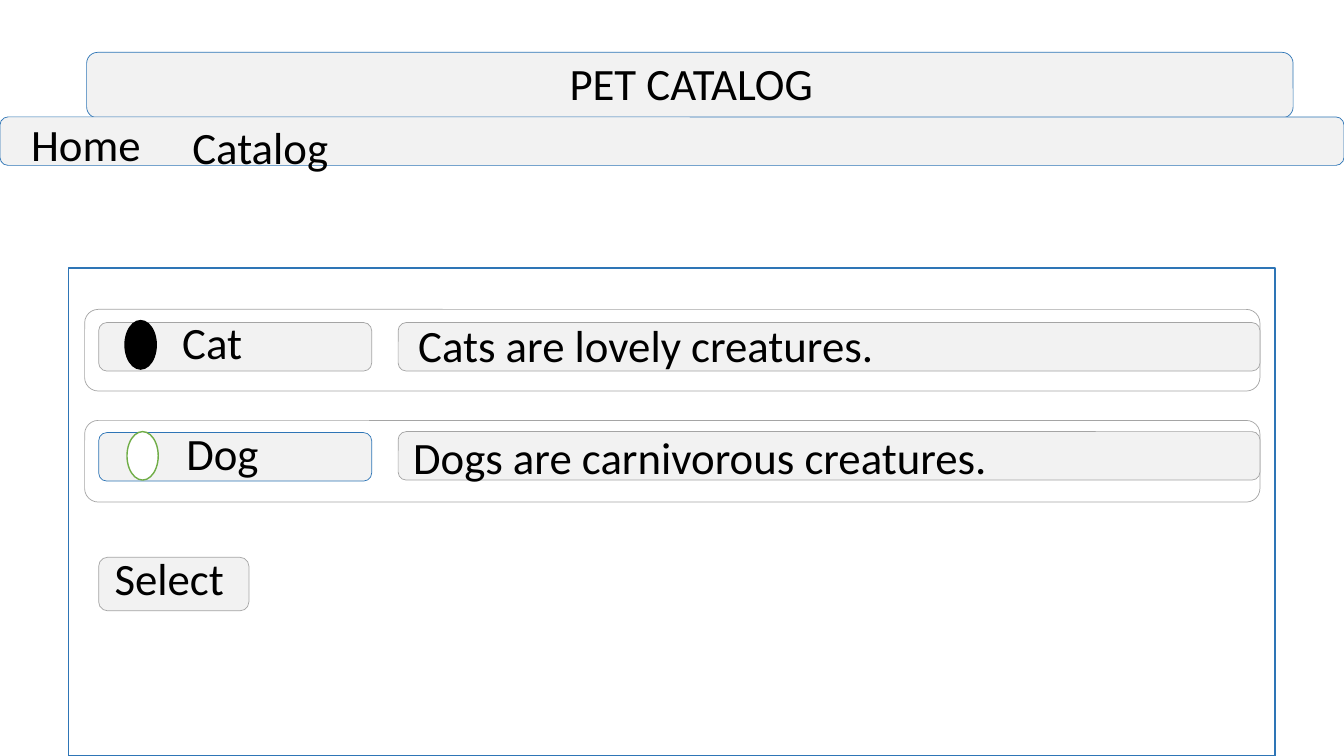
from pptx import Presentation
from pptx.dml.color import RGBColor
from pptx.enum.shapes import MSO_SHAPE
from pptx.enum.text import MSO_ANCHOR, MSO_AUTO_SIZE, PP_ALIGN
from pptx.util import Pt

RECT = MSO_SHAPE.RECTANGLE
ROUND = MSO_SHAPE.ROUNDED_RECTANGLE
OVAL = MSO_SHAPE.OVAL
TOP = MSO_ANCHOR.TOP
LEFT = PP_ALIGN.LEFT
FIT_SHAPE = MSO_AUTO_SIZE.SHAPE_TO_FIT_TEXT

COLORS = {"white": "FFFFFF", "black": "000000", "light": "F2F2F2",
          "gray": "A5A5A5", "blue": "2E75B6", "green": "70AD47"}
TEXT_H = 46
BAR_H = 34.6


def rgb(name):
    return RGBColor.from_string(COLORS[name])


def add_box(s, kind, x, y, w, h, fill="light", line="gray", weight=0.5):
    sp = s.shapes.add_shape(kind, Pt(x), Pt(y), Pt(w), Pt(h))
    sp.shadow.inherit = False
    sp.fill.solid()
    sp.fill.fore_color.rgb = rgb(fill)
    sp.line.color.rgb = rgb(line)
    sp.line.width = Pt(weight)
    return sp


def write(sp, text, size=32, color="black", font="Calibri", align=LEFT):
    tf = sp.text_frame
    tf.word_wrap = True
    tf.auto_size = FIT_SHAPE
    tf.vertical_anchor = TOP
    p = tf.paragraphs[0]
    p.alignment = align
    r = p.add_run()
    r.text = text
    r.font.size = Pt(size)
    r.font.name = font
    r.font.color.rgb = rgb(color)


def add_text(s, text, x, y, w, **fmt):
    write(s.shapes.add_textbox(Pt(x), Pt(y), Pt(w), Pt(TEXT_H)), text, **fmt)


def banner(s, x, y, w, h):
    add_box(s, ROUND, x, y, w, h, line="blue")
    title = s.shapes.title
    title.left, title.top = Pt(x + 337.7), Pt(y - 1.4)
    title.width, title.height = Pt(197.3), Pt(TEXT_H)
    write(title, "PET CATALOG")
    # Bring the title in front of its banner
    title.element.getparent().append(title.element)


def menu(s, x, y, w, h):
    add_box(s, ROUND, x, y, w, h, line="blue")
    add_text(s, "Home", x + 15.1, y - 3.6, 93)
    add_text(s, "Catalog", x + 130.3, y - 1.4, 127.4)


def pet_row(s, x, y, w, h, name, about, label, detail, radio,
            name_dx, about_at, label_line):
    """label, detail: bar tops; radio: (dx, fill, line); all relative to the row."""
    add_box(s, ROUND, x, y, w, h, fill="white")
    add_box(s, ROUND, x + 10, y + label, 195, BAR_H, line=label_line)
    add_box(s, ROUND, x + 223.9, y + detail, w - 223.9, BAR_H)
    add_text(s, name, x + name_dx, y, 127.4)
    about_dx, about_dy = about_at
    add_text(s, about, x + about_dx, y + about_dy, 466)
    radio_dx, fill, line = radio
    add_box(s, OVAL, x + radio_dx, y + 8, 22.3, BAR_H, fill, line, 1)


def select_button(s, x, y, w, h):
    add_box(s, ROUND, x, y, w, h)
    add_text(s, "Select", x + 4.3, y - 8, 127.4)


def catalog(s, x, y, w, h):
    add_box(s, RECT, x, y, w, h, "white", "blue", 1)
    row_x, row_w, row_h = x + 11.5, w - 22.3, 58.3
    pet_row(s, row_x, y + 29.5, row_w, row_h,
            "Cat", "Cats are lovely creatures.", label=9.4, detail=9.4,
            radio=(28.8, "black", "black"), name_dx=62.6,
            about_at=(231.1, 2.2), label_line="gray")
    pet_row(s, row_x, y + 108.8, row_w, row_h,
            "Dog", "Dogs are carnivorous creatures.", label=8.7, detail=8,
            radio=(30.2, "white", "green"), name_dx=65.5,
            about_at=(227.5, 2.9), label_line="blue")
    select_button(s, x + 21.5, y + 206.6, 107.3, 38.2)


def main():
    prs = Presentation()
    prs.slide_width, prs.slide_height = Pt(960), Pt(540)
    s = prs.slides.add_slide(prs.slide_layouts[5])
    banner(s, 61.9, 37.4, 861.8, 46.8)
    menu(s, 0, 83.5, 960, BAR_H)
    catalog(s, 49, 191.5, 861.8, 348.5)
    prs.save("out.pptx")


if __name__ == "__main__":
    main()
